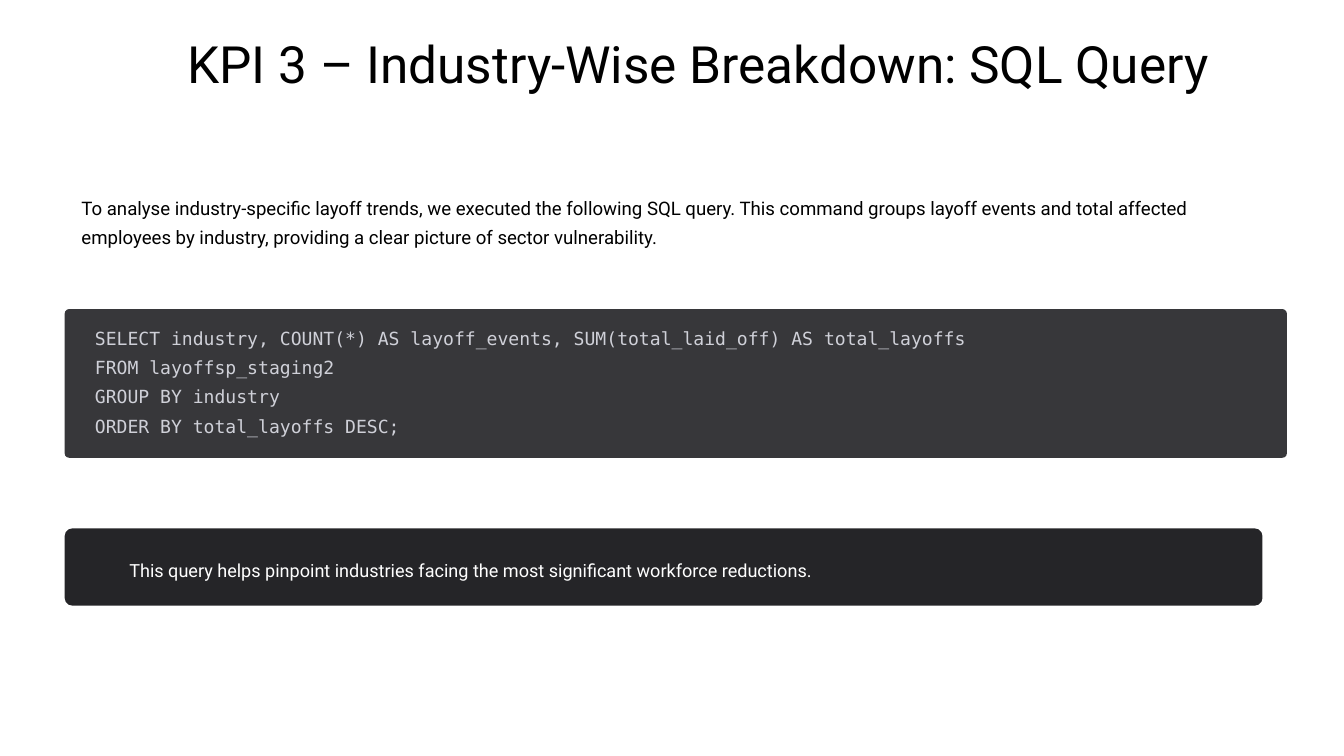
from dataclasses import dataclass

from pptx import Presentation
from pptx.dml.color import RGBColor
from pptx.enum.shapes import MSO_SHAPE
from pptx.enum.text import MSO_ANCHOR, PP_ALIGN
from pptx.slide import Slide
from pptx.util import Inches, Pt

ROUNDED = MSO_SHAPE.ROUNDED_RECTANGLE
TOP = MSO_ANCHOR.TOP
LEFT = PP_ALIGN.LEFT

BLACK = RGBColor(0x00, 0x00, 0x00)
WHITE = RGBColor(0xFF, 0xFF, 0xFF)
CODE_TEXT = RGBColor(0xCF, 0xD0, 0xD8)
CODE_FILL = RGBColor(0x37, 0x37, 0x3A)
NOTE_FILL = RGBColor(0x25, 0x25, 0x28)

BODY_FONT = "Roboto"
CODE_FONT = "DejaVu Sans Mono"


@dataclass(frozen=True)
class Box:
    left: float
    top: float
    width: float
    height: float

    def lengths(self) -> tuple[Inches, Inches, Inches, Inches]:
        return (Inches(self.left), Inches(self.top),
                Inches(self.width), Inches(self.height))


@dataclass(frozen=True)
class Panel:
    box: Box
    fill: RGBColor
    rounding: float


@dataclass(frozen=True)
class Passage:
    box: Box
    lines: tuple[str, ...]
    size: float
    color: RGBColor
    font: str = BODY_FONT
    spacing: float = 25


PANELS = (
    Panel(Box(0.77, 3.68, 14.55, 1.77), CODE_FILL, 0.03),
    Panel(Box(0.77, 6.29, 14.26, 0.92), NOTE_FILL, 0.1),
)

PASSAGES = (
    Passage(
        Box(2.23, 0.78, 12.6, 1.22),
        ("KPI 3 – Industry-Wise Breakdown: SQL Query",),
        44, BLACK, spacing=24,
    ),
    Passage(
        Box(0.97, 2.26, 14.26, 0.69),
        ("To analyse industry-specific layoff trends, we executed the following "
         "SQL query. This command groups layoff events and total affected "
         "employees by industry, providing a clear picture of sector "
         "vulnerability.",),
        16, BLACK,
    ),
    Passage(
        Box(1.13, 3.81, 13.85, 1.45),
        ("SELECT industry, COUNT(*) AS layoff_events, "
         "SUM(total_laid_off) AS total_layoffs",
         "FROM layoffsp_staging2",
         "GROUP BY industry",
         "ORDER BY total_layoffs DESC;"),
        15.5, CODE_TEXT, font=CODE_FONT,
    ),
    Passage(
        Box(1.54, 6.57, 13.34, 0.35),
        ("This query helps pinpoint industries facing the most significant "
         "workforce reductions.",),
        15.5, WHITE,
    ),
)


def draw_panel(slide: Slide, panel: Panel) -> None:
    shape = slide.shapes.add_shape(ROUNDED, *panel.box.lengths())
    shape.adjustments[0] = panel.rounding
    shape.shadow.inherit = False
    shape.fill.solid()
    shape.fill.fore_color.rgb = panel.fill
    shape.line.fill.background()


def draw_passage(slide: Slide, passage: Passage) -> None:
    frame = slide.shapes.add_textbox(*passage.box.lengths()).text_frame
    frame.word_wrap = True
    frame.vertical_anchor = TOP
    frame.margin_left = frame.margin_right = 0
    frame.margin_top = frame.margin_bottom = 0
    for index, line in enumerate(passage.lines):
        paragraph = frame.add_paragraph() if index else frame.paragraphs[0]
        paragraph.alignment = LEFT
        paragraph.line_spacing = Pt(passage.spacing)
        run = paragraph.add_run()
        run.text = line
        run.font.name = passage.font
        run.font.size = Pt(passage.size)
        run.font.color.rgb = passage.color


def main() -> None:
    deck = Presentation()
    deck.slide_width = Inches(16)
    deck.slide_height = Inches(9)
    slide = deck.slides.add_slide(deck.slide_layouts[6])
    for panel in PANELS:
        draw_panel(slide, panel)
    for passage in PASSAGES:
        draw_passage(slide, passage)
    deck.save("out.pptx")


if __name__ == "__main__":
    main()
